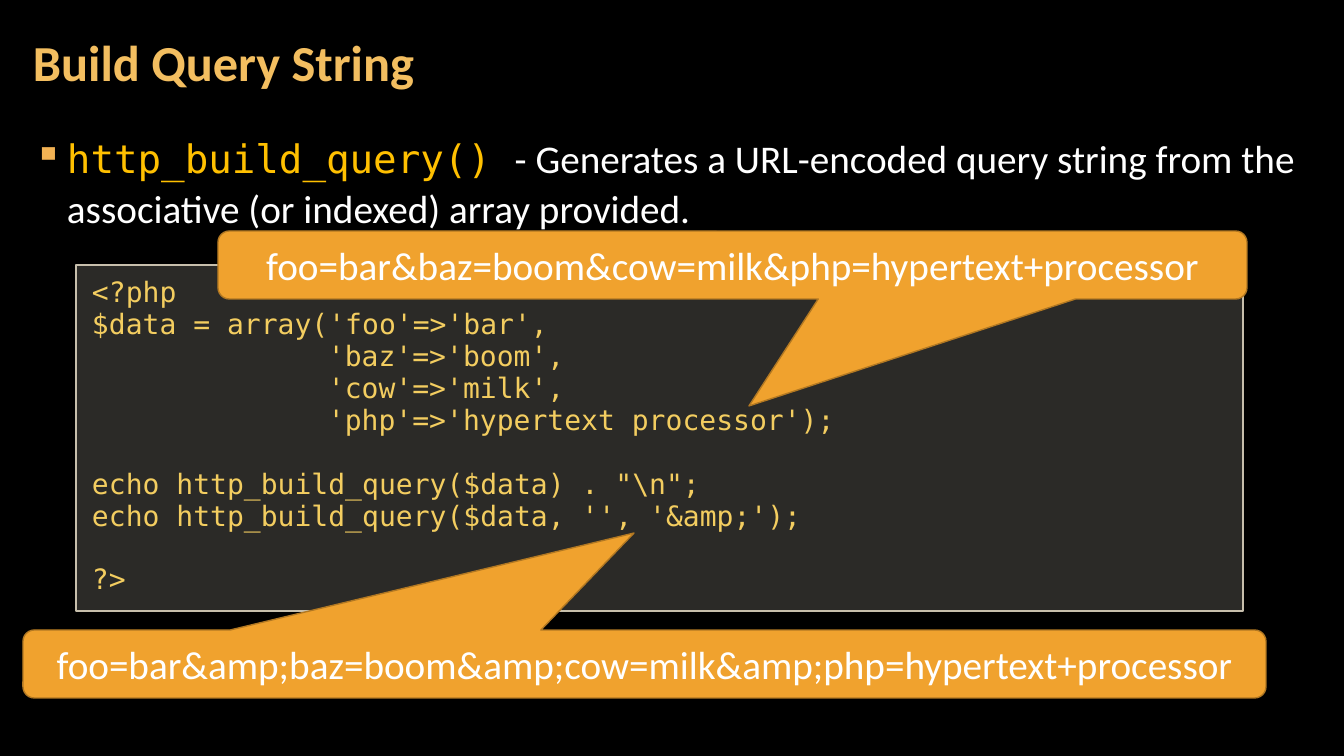
from lxml.etree import SubElement
from pptx import Presentation
from pptx.dml.color import RGBColor
from pptx.enum.shapes import MSO_SHAPE
from pptx.enum.text import MSO_ANCHOR, PP_ALIGN
from pptx.oxml.ns import qn
from pptx.util import Emu, Pt

EMU_PER_PX = 914400 / 100.8


def px(length):
    return Emu(round(length * EMU_PER_PX))


def color(hex_code):
    return RGBColor.from_string(hex_code)


class QuerySlide:
    SANS, MONO = "Calibri", "DejaVu Sans Mono"
    TITLE, BULLET, KEYWORD, CODE = "F3BE60", "F2B254", "FFC000", "F3CD60"
    WHITE, PANEL, PANEL_EDGE = "FFFFFF", "D9D5C7", "C7BFAC"
    CALLOUT, CALLOUT_EDGE = "F0A22E", "B27822"
    CODE_CHAR = 0.602 * 20  # advance of one code character, in points
    CODE_LINE = 22.7  # height of one code line, in points

    def __init__(self, presentation):
        layout = presentation.slide_layouts[6]
        self.slide = presentation.slides.add_slide(layout)
        background = self.slide.background.fill
        background.solid()
        background.fore_color.rgb = color("000000")

    def style_font(self, font, name, size, hex_code, bold=False):
        font.name, font.size, font.bold = name, Pt(size), bold
        font.color.rgb = color(hex_code)

    def prepare_frame(self, shape, inset_x, inset_y, anchor):
        frame = shape.text_frame
        frame.word_wrap = True
        frame.margin_left = frame.margin_right = px(inset_x)
        frame.margin_top = frame.margin_bottom = px(inset_y)
        frame.vertical_anchor = anchor
        return frame

    def add_box(self, kind, box, fill, edge):
        shape = self.slide.shapes.add_shape(kind, *map(px, box))
        shape.shadow.inherit = False
        shape.fill.solid()
        shape.fill.fore_color.rgb = color(fill)
        shape.line.color.rgb = color(edge)
        shape.line.width = Pt(1)
        return shape

    def add_title(self, box, text):
        heading = self.slide.shapes.add_textbox(*map(px, box))
        frame = self.prepare_frame(heading, 12, 4, MSO_ANCHOR.MIDDLE)
        paragraph = frame.paragraphs[0]
        paragraph.text = text
        paragraph.line_spacing = 0.9
        self.style_font(paragraph.font, self.SANS, 36, self.TITLE, bold=True)

    def add_bullet(self, box, keyword, explanation):
        body = self.slide.shapes.add_textbox(*map(px, box))
        frame = self.prepare_frame(body, 12, 4, MSO_ANCHOR.TOP)
        paragraph = frame.paragraphs[0]
        paragraph.line_spacing = Pt(36)
        paragraph.space_before = paragraph.space_after = Pt(6)
        for text, name, hex_code in ((keyword, self.MONO, self.KEYWORD),
                                     (explanation, self.SANS, self.WHITE)):
            run = paragraph.add_run()
            run.text = text
            self.style_font(run.font, name, 28, hex_code)
        # Hanging indent and square bullet
        properties = paragraph._p.get_or_add_pPr()
        properties.set("marL", str(px(33)))
        properties.set("indent", str(-px(33)))
        bullet_color = SubElement(properties, qn("a:buClr"))
        SubElement(bullet_color, qn("a:srgbClr"), val=self.BULLET)
        SubElement(properties, qn("a:buChar"), char="▪")

    def add_code(self, box, lines):
        """Each line is (indent in characters, blank lines above, text)."""
        panel = self.add_box(MSO_SHAPE.RECTANGLE, box, self.PANEL, self.PANEL_EDGE)
        panel_color = panel.fill._xPr.find(qn("a:solidFill"))[0]
        SubElement(panel_color, qn("a:alpha"), val="20000")
        frame = self.prepare_frame(panel, 16, 12, MSO_ANCHOR.TOP)
        for number, (indent, gap, text) in enumerate(lines):
            paragraph = frame.add_paragraph() if number else frame.paragraphs[0]
            paragraph.text = text
            paragraph.alignment = PP_ALIGN.LEFT
            paragraph.line_spacing = 0.95
            paragraph.space_before = Pt(gap * self.CODE_LINE)
            margin = Pt(indent * self.CODE_CHAR)
            paragraph._p.get_or_add_pPr().set("marL", str(margin))
            self.style_font(paragraph.font, self.MONO, 20, self.CODE)

    def add_callout(self, box, tip, text):
        callout = self.add_box(MSO_SHAPE.ROUNDED_RECTANGULAR_CALLOUT, box,
                               self.CALLOUT, self.CALLOUT_EDGE)
        # The tip is measured from the centre, in shares of the size
        left, top, width, height = box
        callout.adjustments[0] = (tip[0] - left) / width - 0.5
        callout.adjustments[1] = (tip[1] - top) / height - 0.5
        frame = self.prepare_frame(callout, 10, 5, MSO_ANCHOR.MIDDLE)
        paragraph = frame.paragraphs[0]
        paragraph.text = text
        paragraph.alignment = PP_ALIGN.CENTER
        self.style_font(paragraph.font, self.SANS, 28, self.WHITE)


def main():
    presentation = Presentation()
    presentation.slide_width, presentation.slide_height = px(1344), px(756)
    slide = QuerySlide(presentation)

    # Heading and explanation
    slide.add_title((21, 4, 1055, 122), "Build Query String")
    slide.add_bullet(
        (22, 127, 1301, 614), "http_build_query() ",
        "- Generates a URL-encoded query string from the "
        "associative (or indexed) array provided.")

    # Code sample
    array_indent = len("$data = array(")
    slide.add_code((76, 265, 1167, 346), [
        (0, 0, "<?php"),
        (0, 0, "$data = array('foo'=>'bar',"),
        (array_indent, 0, "'baz'=>'boom',"),
        (array_indent, 0, "'cow'=>'milk',"),
        (array_indent, 0, "'php'=>'hypertext processor');"),
        (0, 1, 'echo http_build_query($data) . "\\n";'),
        (0, 0, "echo http_build_query($data, '', '&amp;');"),
        (0, 1, "?>"),
    ])

    # Output of each call
    slide.add_callout((218, 231, 1029, 68), (749, 406),
                      "foo=bar&baz=boom&cow=milk&php=hypertext+processor")
    slide.add_callout((23, 630, 1243, 68), (634, 533),
                      "foo=bar&amp;baz=boom&amp;cow=milk&amp;"
                      "php=hypertext+processor")

    presentation.save("out.pptx")


if __name__ == "__main__":
    main()
